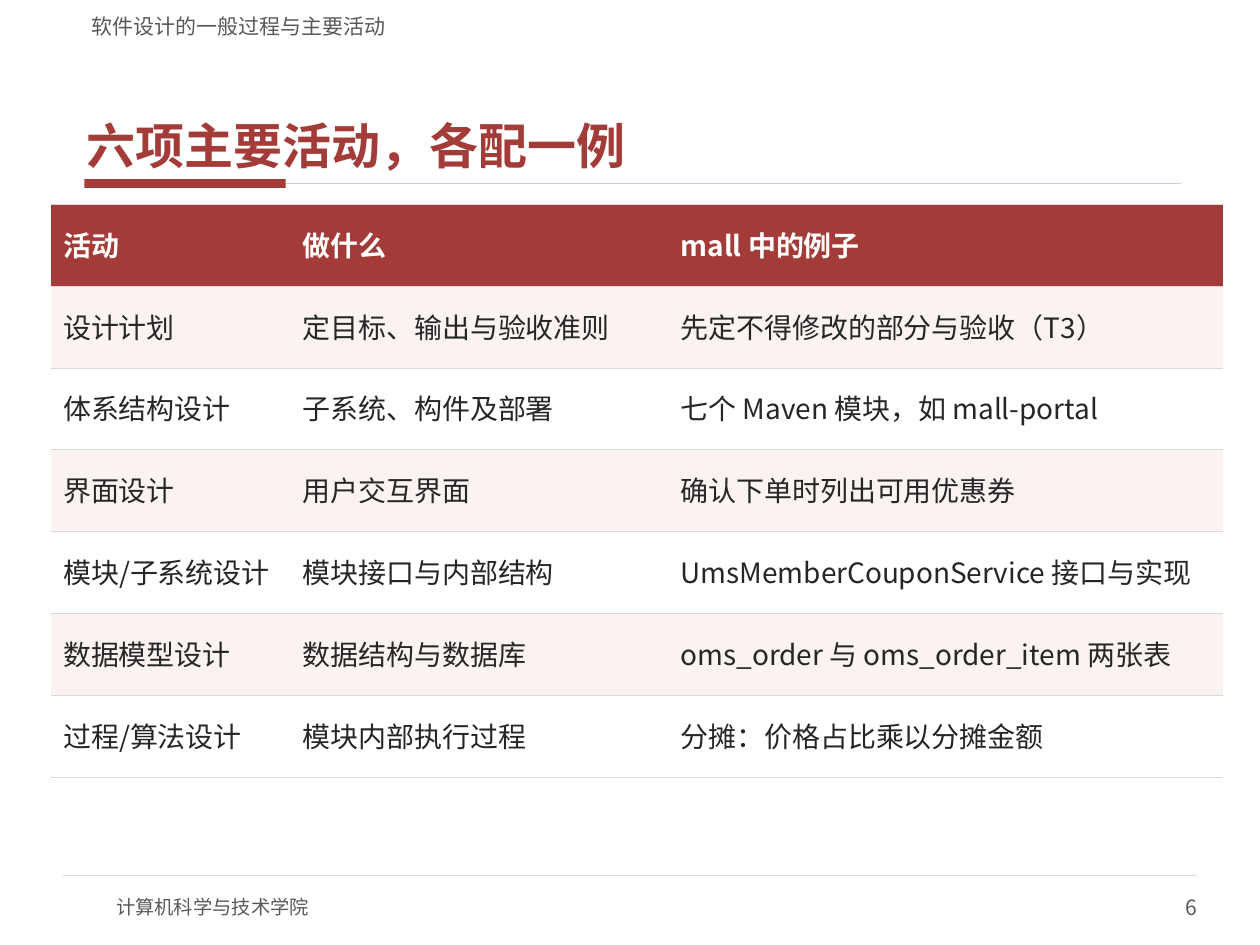
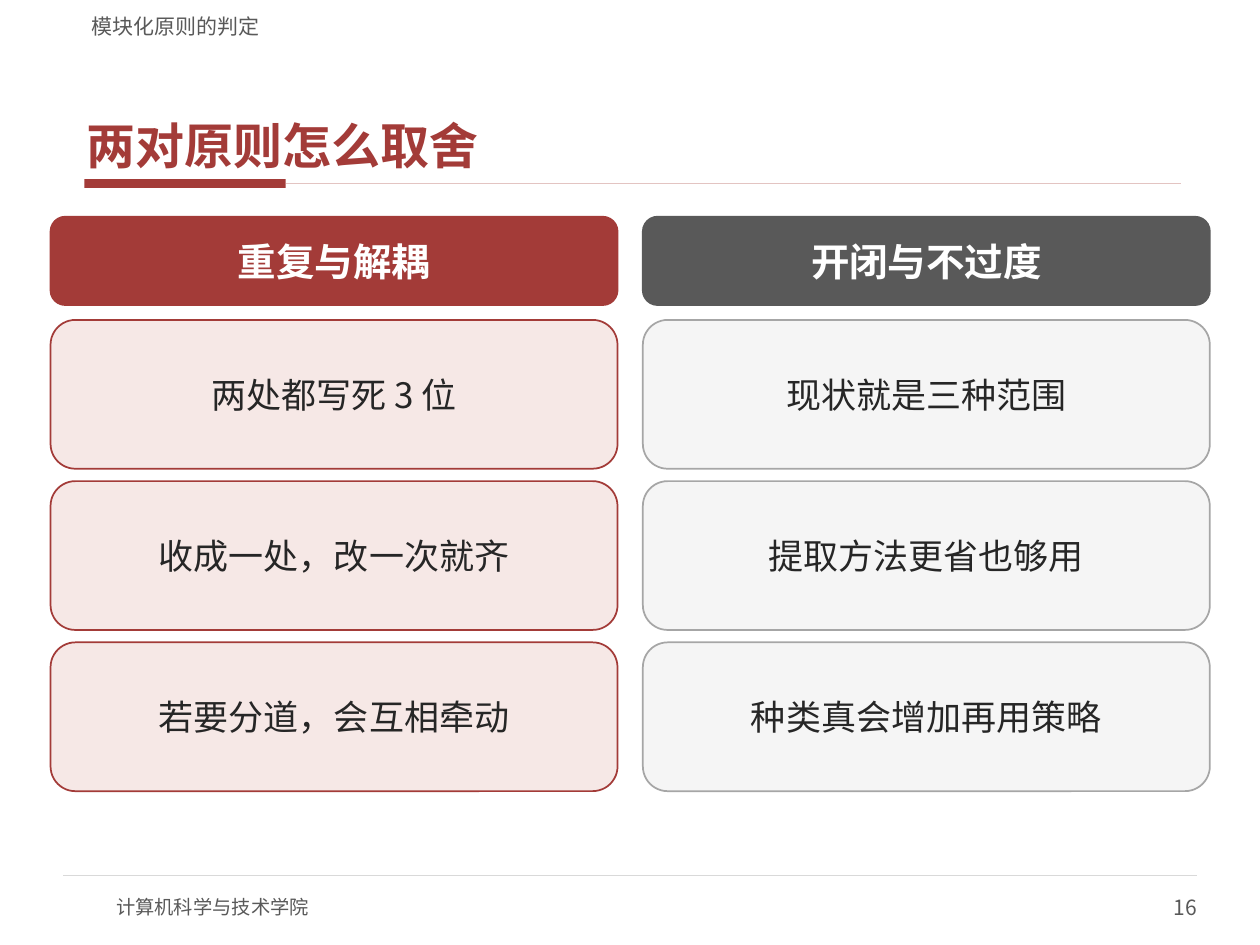
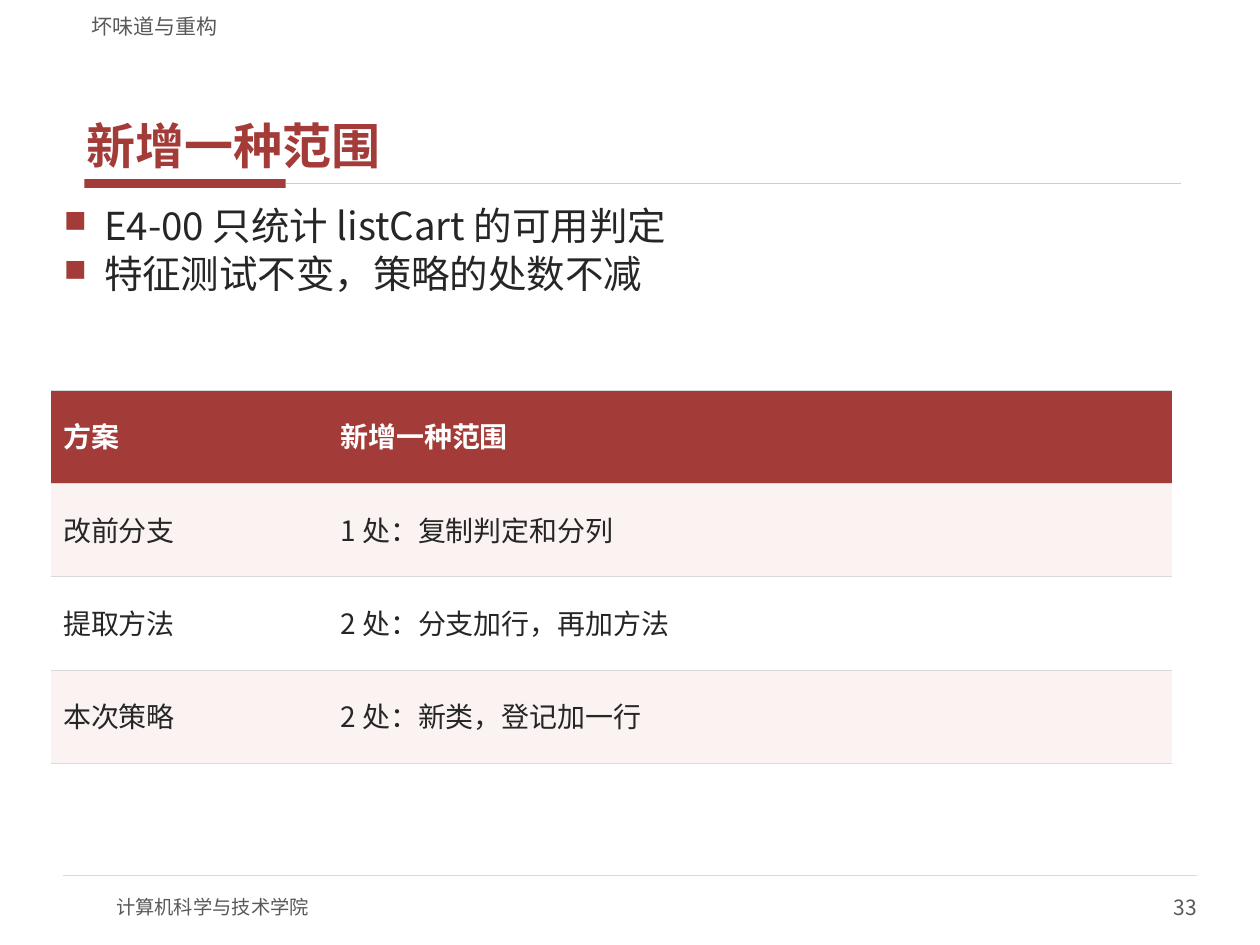
from lxml import etree
from pptx import Presentation
from pptx.dml.color import RGBColor
from pptx.enum.shapes import MSO_CONNECTOR, MSO_SHAPE
from pptx.enum.text import MSO_ANCHOR, PP_ALIGN
from pptx.oxml.ns import qn
from pptx.util import Cm, Pt

RED = RGBColor(0xA3, 0x3B, 0x38)
PALE_RED = RGBColor(0xE3, 0xC4, 0xC2)
BOX_PINK = RGBColor(0xF6, 0xE8, 0xE6)
ROW_PINK = RGBColor(0xFB, 0xF3, 0xF2)
WHITE = RGBColor(0xFF, 0xFF, 0xFF)
INK = RGBColor(0x26, 0x26, 0x26)
DARK_GREY = RGBColor(0x59, 0x59, 0x59)
MID_GREY = RGBColor(0xA6, 0xA6, 0xA6)
RULE_GREY = RGBColor(0xD9, 0xD9, 0xD9)
BOX_GREY = RGBColor(0xF5, 0xF5, 0xF5)

RECTANGLE = MSO_SHAPE.RECTANGLE
ROUNDED = MSO_SHAPE.ROUNDED_RECTANGLE
STRAIGHT = MSO_CONNECTOR.STRAIGHT
TOP, MIDDLE, BOTTOM = MSO_ANCHOR.TOP, MSO_ANCHOR.MIDDLE, MSO_ANCHOR.BOTTOM
LEFT, CENTER, RIGHT = PP_ALIGN.LEFT, PP_ALIGN.CENTER, PP_ALIGN.RIGHT

FONT = "Noto Sans CJK SC"
DEPARTMENT = "计算机科学与技术学院"
CONTENT_LEFT = 1.02


def add_element(parent, tag, **attributes):
    element = etree.SubElement(parent, qn(tag))
    for name, value in attributes.items():
        element.set(name, str(value))
    return element


def add_bullet(paragraph, indent=0.81):
    properties = paragraph._p.get_or_add_pPr()
    properties.set("marL", str(Cm(indent)))
    properties.set("indent", str(-Cm(indent)))
    color = add_element(properties, "a:buClr")
    add_element(color, "a:srgbClr", val=RED)
    add_element(properties, "a:buSzPct", val=80000)
    add_element(properties, "a:buChar", char="■")


def write_text(frame, text, size=16, color=INK, bold=False, align=LEFT,
               bullet=False, line_spacing=None, space_before=0):
    """Write each line of the text as one paragraph."""
    for index, line in enumerate(text.split("\n")):
        paragraph = frame.add_paragraph() if index else frame.paragraphs[0]
        if bullet:
            add_bullet(paragraph)
        paragraph.alignment = align
        if line_spacing:
            paragraph.line_spacing = line_spacing
        if index and space_before:
            paragraph.space_before = Pt(space_before)
        run = paragraph.add_run()
        run.text = line
        font = run.font
        font.size, font.bold, font.name = Pt(size), bold, FONT
        font.color.rgb = color
        add_element(run._r.get_or_add_rPr(), "a:ea", typeface=FONT)


def set_borders(cell):
    """Draw thin rules above and below a cell, none at its sides."""
    properties = cell._tc.get_or_add_tcPr()
    for position, side in enumerate(("L", "R", "T", "B")):
        border = add_element(properties, f"a:ln{side}", w=Pt(0.75))
        if side in "LR":
            add_element(border, "a:noFill")
        else:
            fill = add_element(border, "a:solidFill")
            add_element(fill, "a:srgbClr", val=RULE_GREY)
        properties.insert(position, border)


class Deck:
    def __init__(self):
        self.presentation = Presentation()
        self.presentation.slide_width = Cm(25.4)
        self.presentation.slide_height = Cm(19.05)
        self.slide = None

    def start_slide(self, section, title, number):
        """Add a slide with its title, header, rules and footer."""
        layout = self.presentation.slide_layouts[6]
        self.slide = self.presentation.slides.add_slide(layout)
        accent = self.shape(RECTANGLE, 1.7, 3.61, 4.06, 0.18, RED)
        title_rule = self.line(5.76, 3.7, 23.8, 3.7, PALE_RED, 1)
        title_rule.begin_connect(accent, 3)
        self.line(1.27, 17.65, 24.13, 17.65, RULE_GREY, 0.75)
        self.text(DEPARTMENT, 2.34, 17.78, 10.16, 1.02,
                  size=11, color=DARK_GREY)
        self.text(str(number), 19.05, 17.78, 5.08, 1.02,
                  size=12, color=DARK_GREY, align=RIGHT)
        self.text(title, 1.6, 0.84, 22.23, 2.67, anchor=BOTTOM,
                  margins=(0.15, 0), size=28, color=RED, bold=True)
        self.text(section, 1.6, 0.1, 22.23, 0.69, anchor=BOTTOM,
                  margins=(0.25, 0), size=12, color=DARK_GREY)

    def set_frame(self, frame, anchor, margins):
        frame.word_wrap = True
        frame.vertical_anchor = anchor
        frame.margin_left = frame.margin_right = Cm(margins[0])
        frame.margin_top = frame.margin_bottom = Cm(margins[1])

    def text(self, text, left, top, width, height, anchor=MIDDLE,
             margins=(0, 0), **text_format):
        box = self.slide.shapes.add_textbox(
            Cm(left), Cm(top), Cm(width), Cm(height))
        self.set_frame(box.text_frame, anchor, margins)
        write_text(box.text_frame, text, **text_format)

    def shape(self, kind, left, top, width, height, fill, line=None):
        shape = self.slide.shapes.add_shape(
            kind, Cm(left), Cm(top), Cm(width), Cm(height))
        shape.shadow.inherit = False
        shape.fill.solid()
        shape.fill.fore_color.rgb = fill
        if line is None:
            shape.line.fill.background()
        else:
            shape.line.color.rgb = line
            shape.line.width = Pt(1)
        return shape

    def card(self, text, left, top, width, height, fill, line, **text_format):
        card = self.shape(ROUNDED, left, top, width, height, fill, line)
        self.set_frame(card.text_frame, MIDDLE, (0.2, 0.1))
        write_text(card.text_frame, text, align=CENTER, **text_format)

    def line(self, x1, y1, x2, y2, color, width):
        connector = self.slide.shapes.add_connector(
            STRAIGHT, Cm(x1), Cm(y1), Cm(x2), Cm(y2))
        connector.line.color.rgb = color
        connector.line.width = Pt(width)
        add_element(connector._element.spPr, "a:effectLst")
        return connector

    def table(self, rows, top, column_widths, row_height):
        table = self.slide.shapes.add_table(
            len(rows), len(column_widths), Cm(CONTENT_LEFT), Cm(top),
            Cm(sum(column_widths)), Cm(row_height * len(rows))).table
        table.horz_banding = False
        for column, width in zip(table.columns, column_widths):
            column.width = Cm(width)
        for row_index, texts in enumerate(rows):
            table.rows[row_index].height = Cm(row_height)
            header = row_index == 0
            fill = RED if header else (WHITE, ROW_PINK)[row_index % 2]
            for column_index, text in enumerate(texts):
                cell = table.cell(row_index, column_index)
                cell.vertical_anchor = MIDDLE
                cell.fill.solid()
                cell.fill.fore_color.rgb = fill
                set_borders(cell)
                write_text(cell.text_frame, text, bold=header,
                           color=WHITE if header else INK, line_spacing=0.9)


def build_activities(deck):
    deck.start_slide("软件设计的一般过程与主要活动", "六项主要活动，各配一例", 6)
    deck.table([
        ("活动", "做什么", "mall 中的例子"),
        ("设计计划", "定目标、输出与验收准则", "先定不得修改的部分与验收（T3）"),
        ("体系结构设计", "子系统、构件及部署", "七个 Maven 模块，如 mall-portal"),
        ("界面设计", "用户交互界面", "确认下单时列出可用优惠券"),
        ("模块/子系统设计", "模块接口与内部结构",
         "UmsMemberCouponService 接口与实现"),
        ("数据模型设计", "数据结构与数据库", "oms_order 与 oms_order_item 两张表"),
        ("过程/算法设计", "模块内部执行过程", "分摊：价格占比乘以分摊金额"),
    ], top=4.12, column_widths=(4.83, 7.62, 11.18), row_height=1.65)


def build_principles(deck):
    deck.start_slide("模块化原则的判定", "两对原则怎么取舍", 16)
    columns = [
        ("重复与解耦", RED, BOX_PINK, RED,
         ("两处都写死 3 位", "收成一处，改一次就齐", "若要分道，会互相牵动")),
        ("开闭与不过度", DARK_GREY, BOX_GREY, MID_GREY,
         ("现状就是三种范围", "提取方法更省也够用", "种类真会增加再用策略")),
    ]
    width, column_step, row_step = 11.43, 11.94, 3.25
    for column, (heading, accent, fill, line, points) in enumerate(columns):
        left = CONTENT_LEFT + column * column_step
        deck.card(heading, left, 4.37, width, 1.78, accent, accent,
                  size=22, color=WHITE, bold=True)
        for row, point in enumerate(points):
            deck.card(point, left, 6.45 + row * row_step, width, 3,
                      fill, line, size=20)


def build_new_scope(deck):
    deck.start_slide("坏味道与重构", "新增一种范围", 33)
    deck.text("E4-00 只统计 listCart 的可用判定\n特征测试不变，策略的处数不减",
              1.14, 4.12, 23.11, 3.56, anchor=TOP, margins=(0.15, 0.05),
              size=22, bullet=True, line_spacing=0.9, space_before=4)
    deck.table([
        ("方案", "新增一种范围"),
        ("改前分支", "1 处：复制判定和分列"),
        ("提取方法", "2 处：分支加行，再加方法"),
        ("本次策略", "2 处：新类，登记加一行"),
    ], top=7.87, column_widths=(5.59, 17.02), row_height=1.88)


def main():
    deck = Deck()
    build_activities(deck)
    build_principles(deck)
    build_new_scope(deck)
    deck.presentation.save("out.pptx")


if __name__ == "__main__":
    main()
